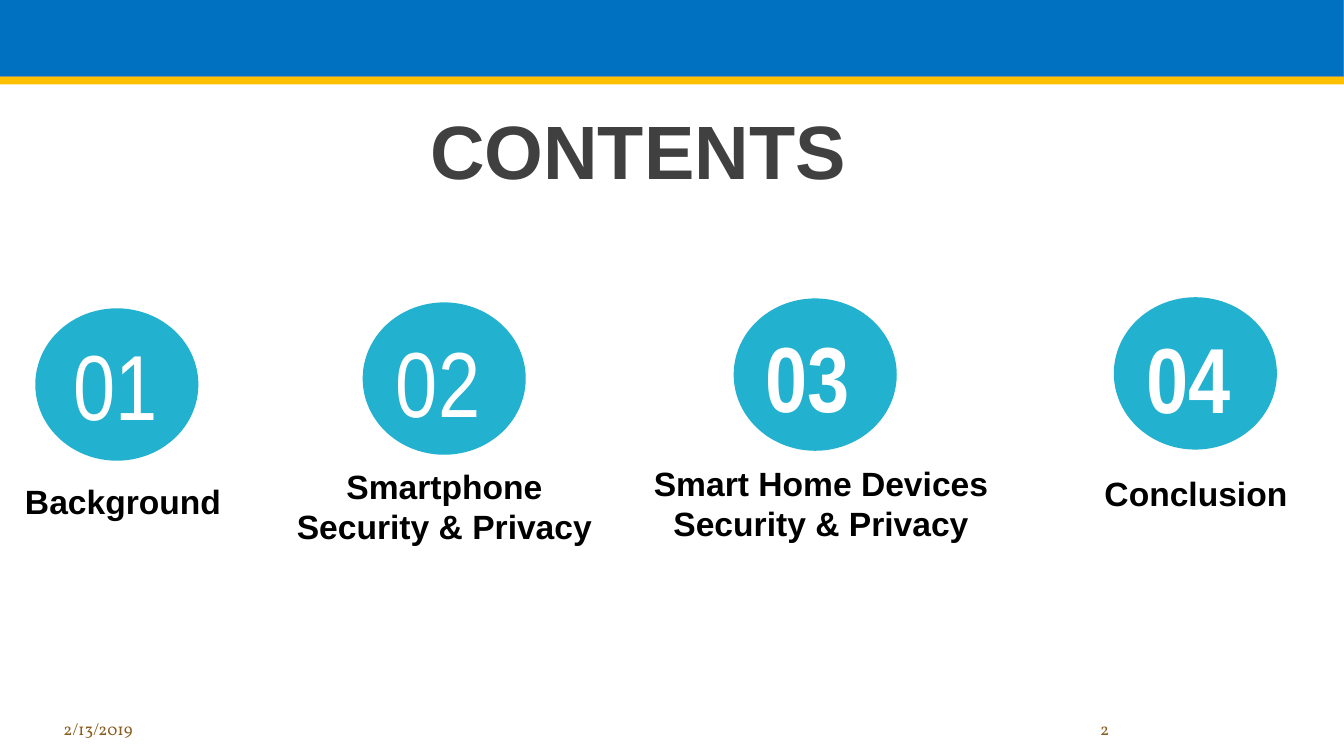
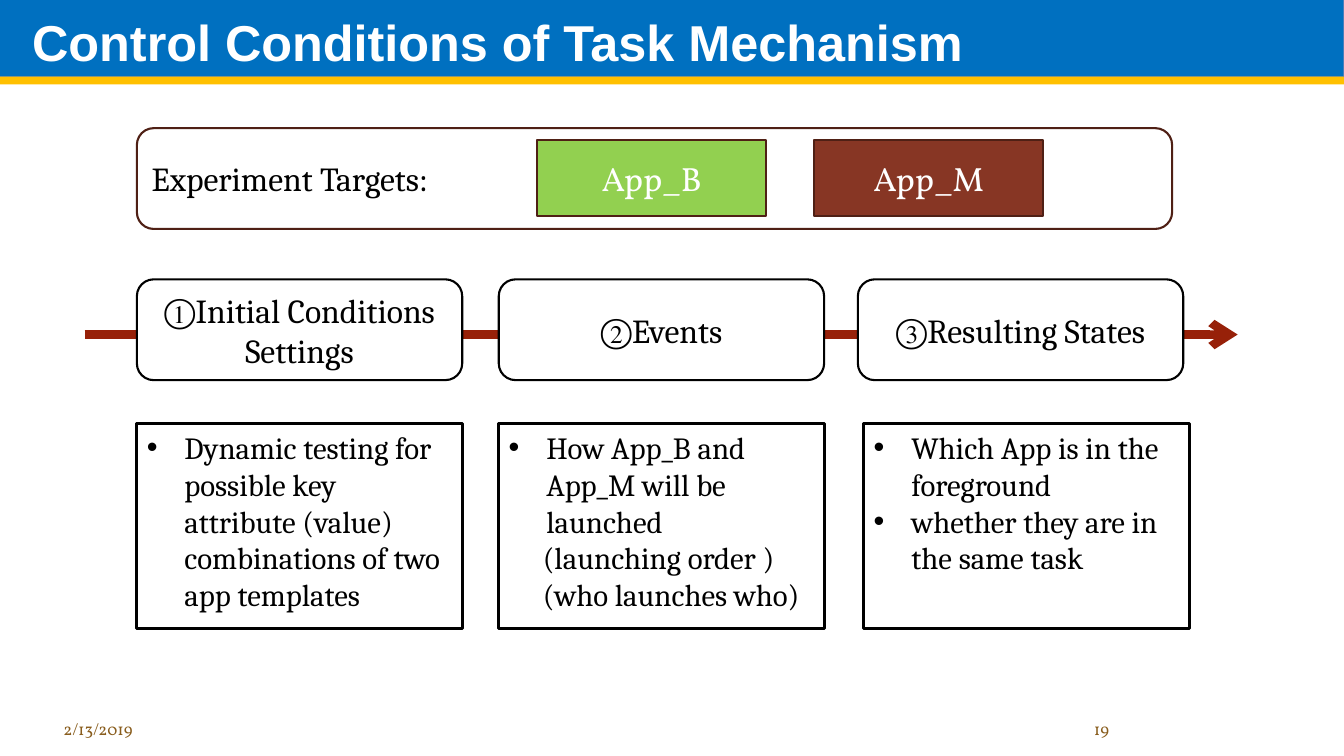
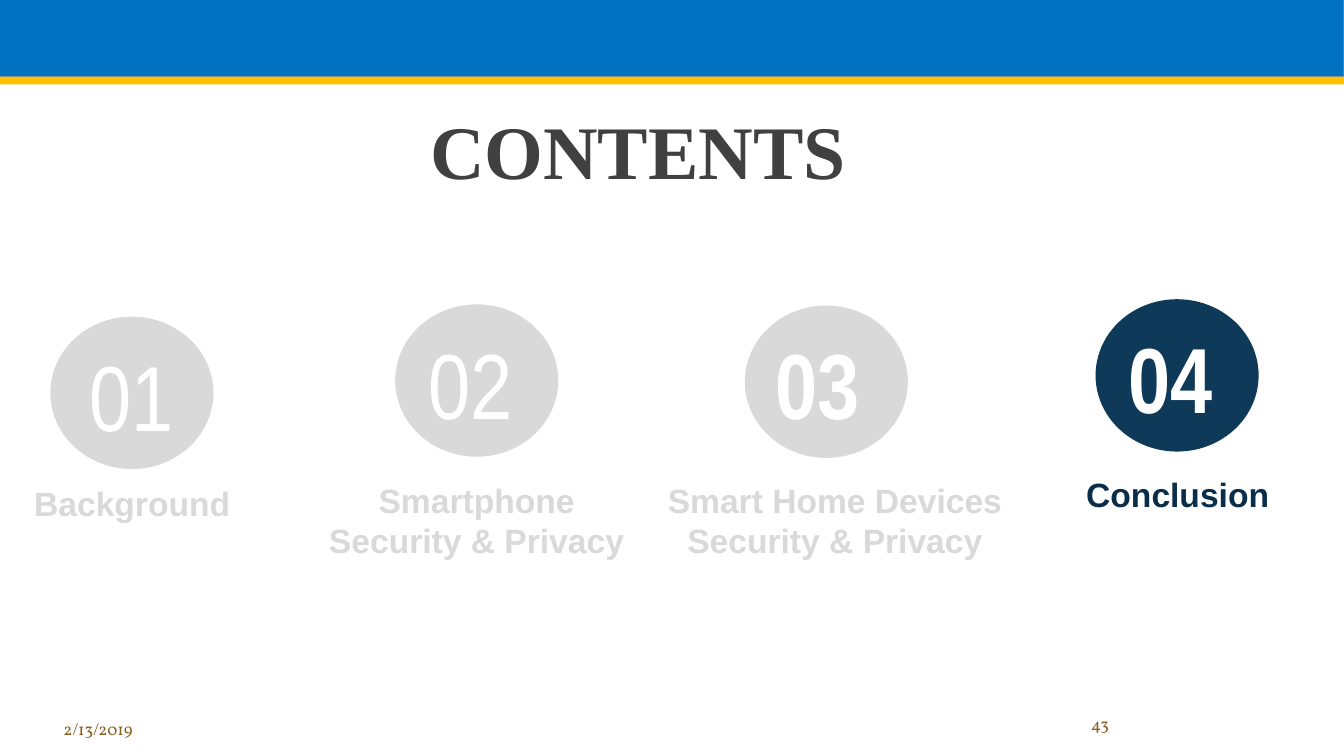
from dataclasses import dataclass

from lxml import etree
from pptx import Presentation
from pptx import util as u
from pptx.dml.color import RGBColor
from pptx.enum import shapes, text
from pptx.oxml import ns


@dataclass(frozen=True)
class Theme:
    band: str = "0070C0"
    band_edge: str = "4A7EBB"
    rule: str = "FFC000"
    footer: str = "895D1D"
    heading: str = "404040"
    white: str = "FFFFFF"
    black: str = "000000"
    topic: str = "22B1CF"
    muted: str = "D9D9D9"
    current: str = "0E3958"
    current_label: str = "0A2E4A"
    brown_edge: str = "4F2015"
    app_b: str = "92D050"
    app_m: str = "873624"
    arrow: str = "972109"
    sans: str = "Arial"
    narrow: str = "Arial Narrow"
    serif: str = "Cambria"
    times: str = "Times New Roman"
    accent: str = "Vollkorn"
    footer_size: int = 12
    detail_size: int = 22
    body_size: int = 24
    title_size: int = 36
    heading_size: int = 54
    number_size: int = 66


T = Theme()
WIDTH, HEIGHT = 33.87, 19.05
BAND_HEIGHT = 1.93
CIRCLE = (4.11, 3.84)
NUMBER = (2.95, 3.07)
LEFT, CENTER, RIGHT = text.PP_ALIGN.LEFT, text.PP_ALIGN.CENTER, text.PP_ALIGN.RIGHT
TOP, MIDDLE = text.MSO_ANCHOR.TOP, text.MSO_ANCHOR.MIDDLE
RECT = shapes.MSO_SHAPE.RECTANGLE
ROUNDED = shapes.MSO_SHAPE.ROUNDED_RECTANGLE
OVAL = shapes.MSO_SHAPE.OVAL

# number, bold number, label, label width
TOPICS = [
    ("01", False, "Background", 5.6),
    ("02", False, "Smartphone Security & Privacy", 8.23),
    ("03", True, "Smart Home Devices Security & Privacy", 9.07),
    ("04", True, "Conclusion", 5.6),
]


def style(size, font, color, bold=False):
    return {"size": u.Pt(size), "name": font, "bold": bold, "color": color}


def apply_format(target, values):
    for name, value in values.items():
        if name == "color":
            target.color.rgb = RGBColor.from_string(value)
        else:
            setattr(target, name, value)


def write(shape, content, font, align=LEFT, anchor=TOP, wrap=True):
    frame = shape.text_frame
    apply_format(frame, {"word_wrap": wrap, "vertical_anchor": anchor})
    paragraph = frame.paragraphs[0]
    paragraph.alignment = align
    run = paragraph.add_run()
    run.text = content
    apply_format(run.font, font)


def add_text(slide, box, content, font, **layout):
    label = slide.shapes.add_textbox(*map(u.Cm, box))
    write(label, content, font, **layout)
    return label


def add_panel(slide, kind, box, fill=None, edge=None, edge_width=1.5):
    panel = slide.shapes.add_shape(kind, *map(u.Cm, box))
    panel.shadow.inherit = False
    if fill:
        panel.fill.solid()
        panel.fill.fore_color.rgb = RGBColor.from_string(fill)
    else:
        panel.fill.background()
    if edge:
        apply_format(panel.line, {"color": edge, "width": u.Pt(edge_width)})
    else:
        panel.line.fill.background()
    return panel


def add_arrow(slide, start, end, color, width):
    arrow = slide.shapes.add_connector(
        shapes.MSO_CONNECTOR.STRAIGHT, *map(u.Cm, (*start, *end)))
    apply_format(arrow.line, {"color": color, "width": u.Pt(width)})
    outline = arrow.line._get_or_add_ln()
    etree.SubElement(outline, ns.qn("a:tailEnd"), type="arrow")
    etree.SubElement(arrow._element.spPr, ns.qn("a:effectLst"))


def write_details(shape, items):
    """Write (text, is_bulleted) items; unbulleted ones are only indented."""
    frame = shape.text_frame
    apply_format(frame, {"word_wrap": True, "vertical_anchor": TOP})
    for index, (content, bulleted) in enumerate(items):
        paragraph = frame.paragraphs[0] if index == 0 else frame.add_paragraph()
        paragraph.alignment = LEFT
        properties = paragraph._p.get_or_add_pPr()
        properties.set("marL", str(u.Cm(0.95 if bulleted else 0.86)))
        if bulleted:
            properties.set("indent", str(-u.Cm(0.95)))
            etree.SubElement(properties, ns.qn("a:buFont"), typeface=T.sans)
            etree.SubElement(properties, ns.qn("a:buChar"), char="•")
        run = paragraph.add_run()
        run.text = content
        apply_format(run.font, style(T.detail_size, T.serif, T.black))


def add_base_slide(deck, page, page_anchor=MIDDLE):
    slide = deck.slides.add_slide(deck.slide_layouts[6])
    add_panel(slide, RECT, (0, 0, WIDTH, BAND_HEIGHT), T.band, T.band_edge, 0.75)
    add_panel(slide, RECT, (0, BAND_HEIGHT, WIDTH, 0.2), T.rule)
    font = style(T.footer_size, T.accent, T.footer)
    add_text(slide, (1.35, 17.86, 7.9, 1.02), "2/13/2019", font, anchor=MIDDLE)
    add_text(slide, (24.59, 17.86, 3.61, 1.02), page, font,
             align=RIGHT, anchor=page_anchor)
    return slide


def add_contents(slide, heading_font, places, colors):
    """Each place holds the circle, number, and label (centre, top) positions."""
    heading = add_text(slide, (10.59, 2.49, 11.1, 2.57), "CONTENTS",
                       style(T.heading_size, heading_font, T.heading, True), wrap=False)
    heading.text_frame.auto_size = text.MSO_AUTO_SIZE.SHAPE_TO_FIT_TEXT
    for topic, place, (fill, label_color) in zip(TOPICS, places, colors):
        number, bold, label, label_width = topic
        circle_at, number_at, (label_center, label_top) = place
        add_panel(slide, OVAL, (*circle_at, *CIRCLE), fill)
        add_text(slide, (*number_at, *NUMBER), number,
                 style(T.number_size, T.narrow, T.white, bold))
        label_box = (label_center - label_width / 2, label_top, label_width, 1.27)
        add_text(slide, label_box, label,
                 style(T.body_size, T.sans, label_color, True), align=CENTER)


def build_contents(deck):
    places = [
        ((0.89, 7.77), (1.6, 8.15), (3.1, 11.99)),
        ((9.14, 7.62), (9.73, 8.08), (11.2, 11.61)),
        ((18.49, 7.52), (19.05, 7.95), (20.69, 11.53)),
        ((28.07, 7.49), (28.65, 7.98), (30.14, 11.79)),
    ]
    add_contents(add_base_slide(deck, "2"), T.sans, places,
                 [(T.topic, T.black)] * len(TOPICS))


def build_task_mechanism(deck):
    slide = add_base_slide(deck, "19")
    add_text(slide, (0.56, 0, 29.21, 2.08), "Control Conditions of Task Mechanism",
             style(T.title_size, T.sans, T.white, True), anchor=MIDDLE)
    add_arrow(slide, (2.13, 8.43), (31.19, 8.43), T.arrow, 6)

    body = style(T.body_size, T.serif, T.black)
    targets = add_panel(slide, ROUNDED, (3.45, 3.23, 26.09, 2.54), edge=T.brown_edge)
    write(targets, "Experiment Targets:", body, anchor=MIDDLE)
    for left, name, fill in [(13.54, "App_B", T.app_b), (20.52, "App_M", T.app_m)]:
        app = add_panel(slide, RECT, (left, 3.53, 5.77, 1.91), fill, T.brown_edge)
        write(app, name, style(T.body_size, T.accent, T.white),
              align=CENTER, anchor=MIDDLE)

    stages = [
        (3.45, "①Initial Conditions Settings", 3.45,
         [("Dynamic testing for possible key attribute (value) "
           "combinations of two app templates", True)]),
        (12.57, "②Events", 12.57,
         [("How App_B and App_M will be launched", True),
          ("(launching order )", False),
          ("(who launches who)", False)]),
        (21.62, "③Resulting States", 21.77,
         [("Which App is in the foreground", True),
          ("whether they are in the same task", True)]),
    ]
    for stage_left, name, detail_left, items in stages:
        stage = add_panel(slide, ROUNDED, (stage_left, 7.04, 8.2, 2.54),
                          T.white, T.black)
        write(stage, name, body, align=CENTER, anchor=MIDDLE)
        details = add_panel(slide, RECT, (detail_left, 10.67, 8.2, 5.16),
                            edge=T.black, edge_width=2.25)
        write_details(details, items)


def build_conclusion_divider(deck):
    places = [
        ((1.27, 7.98), (2.01, 8.43), (3.33, 12.04)),
        ((9.96, 7.67), (10.54, 8.13), (12.01, 11.96)),
        ((18.77, 7.7), (19.3, 8.13), (21.04, 11.96)),
        ((27.61, 7.54), (28.19, 7.98), (29.68, 11.81)),
    ]
    colors = [(T.muted, T.muted)] * 3 + [(T.current, T.current_label)]
    add_contents(add_base_slide(deck, "43", TOP), T.times, places, colors)


def main():
    deck = Presentation()
    apply_format(deck, {"slide_width": u.Cm(WIDTH), "slide_height": u.Cm(HEIGHT)})
    build_contents(deck)
    build_task_mechanism(deck)
    build_conclusion_divider(deck)
    deck.save("out.pptx")


if __name__ == "__main__":
    main()
